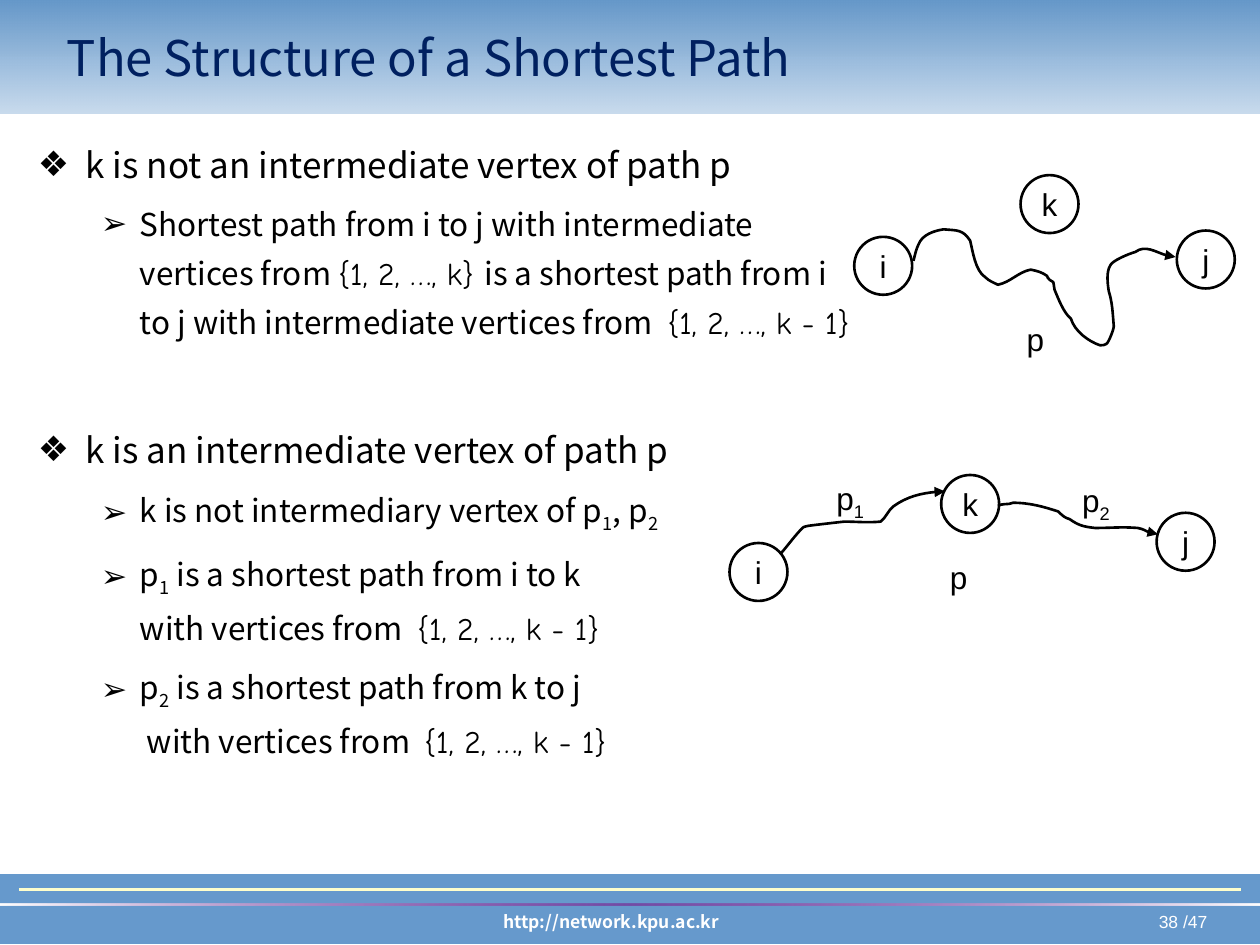
import dataclasses
import typing

import lxml.etree
import pptx
import pptx.dml.color
import pptx.enum.shapes
import pptx.enum.text
import pptx.oxml.ns
import pptx.util

Inches = pptx.util.Inches
Pt = pptx.util.Pt
qn = pptx.oxml.ns.qn
Align = pptx.enum.text.PP_ALIGN
Shape = pptx.enum.shapes.MSO_SHAPE

COLORS = {
    "black": "000000", "white": "FFFFFF", "title": "002060", "band": "6699CC",
    "band_end": "6497C9", "rule": "FFFFCC", "accent": "800080",
}
SANS, HAND, LABEL = "Noto Sans CJK KR", "Comic Neue", "Arial"
DIAMETER = 0.46
SMALLER_SET = ("{1, 2, …, k - 1}", "hand")


@dataclasses.dataclass
class Bullet:
    level: int
    wording: list
    before: float


@dataclasses.dataclass
class Vertex:
    name: str
    left: float
    top: float


@dataclasses.dataclass
class Label:
    wording: list
    left: float
    top: float
    width: float = 0.34
    height: float = 0.4
    size: float = 18
    font: str = LABEL
    color: str = "black"
    align: typing.Any = Align.LEFT
    bold: bool = False
    wrap: bool = False


BULLETS = [
    Bullet(0, ["k is not an intermediate vertex of path p"], 5),
    Bullet(1, ["Shortest path from i to j with intermediate vertices from ",
               ("{1, 2, …, k} ", "hand"),
               "is a shortest path from i to j with intermediate vertices from  ",
               SMALLER_SET], 4.5),
    Bullet(0, ["k is an intermediate vertex of path p"], 43),
    Bullet(1, ["k is not intermediary vertex of p", ("1", "sub"), ", p", ("2", "sub")], 4.5),
    Bullet(1, ["p", ("1", "sub"), " is a shortest path from i to k ", "\n",
               "with vertices from  ", SMALLER_SET], 4.5),
    Bullet(1, ["p", ("2", "sub"), " is a shortest path from k to j", "\n",
               " with vertices from  ", SMALLER_SET], 4.5),
]
VERTICES = [
    Vertex("i", 6.78, 1.88), Vertex("j", 9.34, 1.83), Vertex("k", 8.1, 1.39),
    Vertex("i", 5.79, 4.31), Vertex("k", 7.47, 3.77), Vertex("j", 9.18, 4.07),
]
LABELS = [
    Label(["p", ("1", "sub")], 6.54, 3.75, 0.42, 0.44),
    Label(["p", ("2", "sub")], 8.49, 3.77, 0.42, 0.44),
    Label(["p"], 8.05, 2.49),
    Label(["p"], 7.44, 4.38),
]
FOOTERS = [
    Label(["38 /47"], 7.42, 7.18, 2.26, 0.27, 10, LABEL, "white", Align.RIGHT, wrap=True),
    Label(["http://network.kpu.ac.kr"], 2.27, 7.18, 5.16, 0.27, 10, SANS, "white",
          Align.CENTER, True, True),
]
CURVES = [
    [(6.2, 4.39), (6.26, 4.32), (6.31, 4.25), (6.37, 4.19),
     (6.37, 4.18), (6.43, 4.17), (6.44, 4.17), (6.52, 4.16), (6.61, 4.15), (6.7, 4.14),
     (6.81, 4.14), (6.88, 4.15), (6.99, 4.14), (7.03, 4.11), (7.05, 4.05), (7.09, 4.02),
     (7.2, 3.94), (7.37, 3.9), (7.5, 3.9)],
    [(7.92, 4.01), (8.02, 3.99), (7.98, 4.01), (8.04, 3.99),
     (8.17, 3.99), (8.28, 4.02), (8.4, 4.06), (8.43, 4.09), (8.45, 4.11), (8.49, 4.12),
     (8.56, 4.17), (8.6, 4.18), (8.69, 4.19), (8.84, 4.19), (8.89, 4.18), (9.03, 4.19),
     (9.08, 4.2), (9.13, 4.24), (9.19, 4.24)],
    [(7.25, 2.07), (7.26, 2.03), (7.27, 1.98), (7.29, 1.94),
     (7.32, 1.86), (7.42, 1.83), (7.49, 1.82), (7.6, 1.83), (7.64, 1.82), (7.7, 1.91),
     (7.72, 1.99), (7.74, 2.15), (7.82, 2.2), (7.85, 2.23), (7.88, 2.24), (7.92, 2.26),
     (8.02, 2.24), (8.08, 2.16), (8.18, 2.14), (8.23, 2.15), (8.27, 2.16), (8.31, 2.19),
     (8.31, 2.2), (8.32, 2.21), (8.33, 2.22), (8.34, 2.23), (8.35, 2.23), (8.36, 2.24),
     (8.36, 2.24), (8.37, 2.3), (8.37, 2.3), (8.4, 2.37), (8.44, 2.48), (8.5, 2.53),
     (8.53, 2.63), (8.64, 2.71), (8.73, 2.74), (8.75, 2.74), (8.77, 2.74), (8.78, 2.73),
     (8.8, 2.72), (8.84, 2.61), (8.84, 2.59), (8.83, 2.48), (8.83, 2.41), (8.8, 2.31),
     (8.79, 2.25), (8.78, 2.16), (8.81, 2.11), (8.82, 2.07), (8.97, 2.01), (9.01, 2),
     (9.09, 1.94), (9.24, 2.04), (9.33, 2.04)],
]


def rgb(name: str) -> pptx.dml.color.RGBColor:
    return pptx.dml.color.RGBColor.from_string(COLORS[name])


def style(para, font: str, size: float, color: str, bold: bool = False) -> None:
    para.font.name, para.font.size, para.font.bold = font, Pt(size), bold
    para.font.color.rgb = rgb(color)


def add_wording(para, wording: list) -> None:
    for piece in wording:
        if piece == "\n":
            para.add_line_break()
            continue
        text, kind = (piece, "") if isinstance(piece, str) else piece
        span = para.add_run()
        span.text = text
        if kind == "hand":
            span.font.name = HAND
        elif kind == "sub":
            span._r.get_or_add_rPr().set("baseline", "-25000")


def place(shape, left: float, top: float, width: float, height: float) -> None:
    shape.left, shape.top = Inches(left), Inches(top)
    shape.width, shape.height = Inches(width), Inches(height)


def add_shape(slide, kind, left: float, top: float, width: float, height: float):
    shape = slide.shapes.add_shape(kind, *map(Inches, (left, top, width, height)))
    shape.shadow.inherit = False
    shape.fill.background()
    shape.line.fill.background()
    return shape


def add_gradient(shape, stops: list, angle: int) -> None:
    gradient = lxml.etree.Element(qn("a:gradFill"), rotWithShape="1")
    stop_list = lxml.etree.SubElement(gradient, qn("a:gsLst"))
    for position, color, opacity in stops:
        stop = lxml.etree.SubElement(stop_list, qn("a:gs"), pos=str(position * 1000))
        tint = lxml.etree.SubElement(stop, qn("a:srgbClr"), val=COLORS[color])
        lxml.etree.SubElement(tint, qn("a:alpha"), val=str(opacity * 1000))
    lxml.etree.SubElement(gradient, qn("a:lin"), ang=str(angle * 60000), scaled="0")
    properties = shape._element.spPr
    properties.replace(properties.find(qn("a:noFill")), gradient)


def add_backdrop(slide) -> None:
    footer = add_shape(slide, Shape.RECTANGLE, 0, 6.94, 10, 0.55)
    footer.fill.solid()
    footer.fill.fore_color.rgb = footer.line.color.rgb = rgb("band")
    footer.line.width = Pt(0.75)
    for label in FOOTERS:
        add_label(slide, label)
    rule = slide.shapes.add_connector(pptx.enum.shapes.MSO_CONNECTOR.STRAIGHT,
                                      *map(Inches, (0.15, 7.06, 9.85, 7.06)))
    rule.line.color.rgb, rule.line.width = rgb("rule"), Pt(1.5)
    lxml.etree.SubElement(rule._element.spPr, qn("a:effectLst"))
    header = add_shape(slide, Shape.RECTANGLE, 0, 0, 10, 0.9)
    add_gradient(header, [(0, "band", 35), (100, "band_end", 100)], 270)
    stripe = add_shape(slide, Shape.RECTANGLE, 0, 7.17, 10, 0.02)
    add_gradient(stripe, [(0, "white", 100), (50, "accent", 50), (100, "white", 100)], 0)


def add_label(slide, label: Label) -> None:
    box = slide.shapes.add_textbox(*map(Inches, (label.left, label.top, label.width, label.height)))
    box.text_frame.word_wrap = label.wrap
    para = box.text_frame.paragraphs[0]
    para.alignment = label.align
    style(para, label.font, label.size, label.color, label.bold)
    add_wording(para, label.wording)


def add_vertex(slide, vertex: Vertex) -> None:
    circle = add_shape(slide, Shape.OVAL, vertex.left, vertex.top, DIAMETER, DIAMETER)
    circle.line.color.rgb, circle.line.width = rgb("black"), Pt(1.5)
    circle.text_frame.word_wrap = False
    circle.text_frame.vertical_anchor = pptx.enum.text.MSO_ANCHOR.MIDDLE
    para = circle.text_frame.paragraphs[0]
    para.alignment = Align.CENTER
    style(para, LABEL, 18, "black")
    add_wording(para, [vertex.name])


def add_curve(slide, points: list) -> None:
    start, *rest = [(Inches(x), Inches(y)) for x, y in points]
    builder = slide.shapes.build_freeform(*start)
    builder.add_line_segments(rest, close=False)
    curve = builder.convert_to_shape()
    curve.shadow.inherit = False
    curve.fill.background()
    curve.line.color.rgb, curve.line.width = rgb("black"), Pt(1.5)
    lxml.etree.SubElement(curve.line._get_or_add_ln(), qn("a:tailEnd"), type="triangle")
    outline = next(curve._element.iter(qn("a:path")))
    segments = outline.findall(qn("a:lnTo"))
    for first in range(0, len(segments), 3):
        bezier = lxml.etree.SubElement(outline, qn("a:cubicBezTo"))
        for segment in segments[first:first + 3]:
            bezier.append(segment[0])
            outline.remove(segment)


def add_bullet(para, bullet: Bullet) -> None:
    margin, indent, mark, size = [(0.38, -0.38, "❖", 20), (0.81, -0.31, "➢", 18)][bullet.level]
    para.level, para.line_spacing, para.space_before = bullet.level, 1.3, Pt(bullet.before)
    properties = para._p.get_or_add_pPr()
    properties.set("marL", str(Inches(margin)))
    properties.set("indent", str(Inches(indent)))
    tint = lxml.etree.SubElement(properties, qn("a:buClr"))
    lxml.etree.SubElement(tint, qn("a:srgbClr"), val=COLORS["black"])
    lxml.etree.SubElement(properties, qn("a:buChar"), char=mark)
    style(para, SANS, size, "black")
    add_wording(para, bullet.wording)


def main() -> None:
    deck = pptx.Presentation()
    deck.slide_width, deck.slide_height = Inches(10), Inches(7.5)
    slide = deck.slides.add_slide(deck.slide_layouts[1])
    title, body = slide.shapes.title, slide.placeholders[1]
    add_backdrop(slide)
    for holder in (title, body):
        slide.shapes._spTree.append(holder._element)
        holder.text_frame.word_wrap = True
        holder.text_frame.auto_size = pptx.enum.text.MSO_AUTO_SIZE.NONE
    place(title, 0.43, 0.08, 8.43, 0.75)
    title.text_frame.vertical_anchor = pptx.enum.text.MSO_ANCHOR.MIDDLE
    heading = title.text_frame.paragraphs[0]
    heading.alignment = Align.LEFT
    style(heading, SANS, 28, "title")
    add_wording(heading, ["The Structure of a Shortest Path"])
    place(body, 0.2, 0.99, 6.66, 5.43)
    for index, bullet in enumerate(BULLETS):
        frame = body.text_frame
        add_bullet(frame.add_paragraph() if index else frame.paragraphs[0], bullet)
    for vertex in VERTICES:
        add_vertex(slide, vertex)
    for points in CURVES:
        add_curve(slide, points)
    for label in LABELS:
        add_label(slide, label)
    deck.save("out.pptx")


if __name__ == "__main__":
    main()
